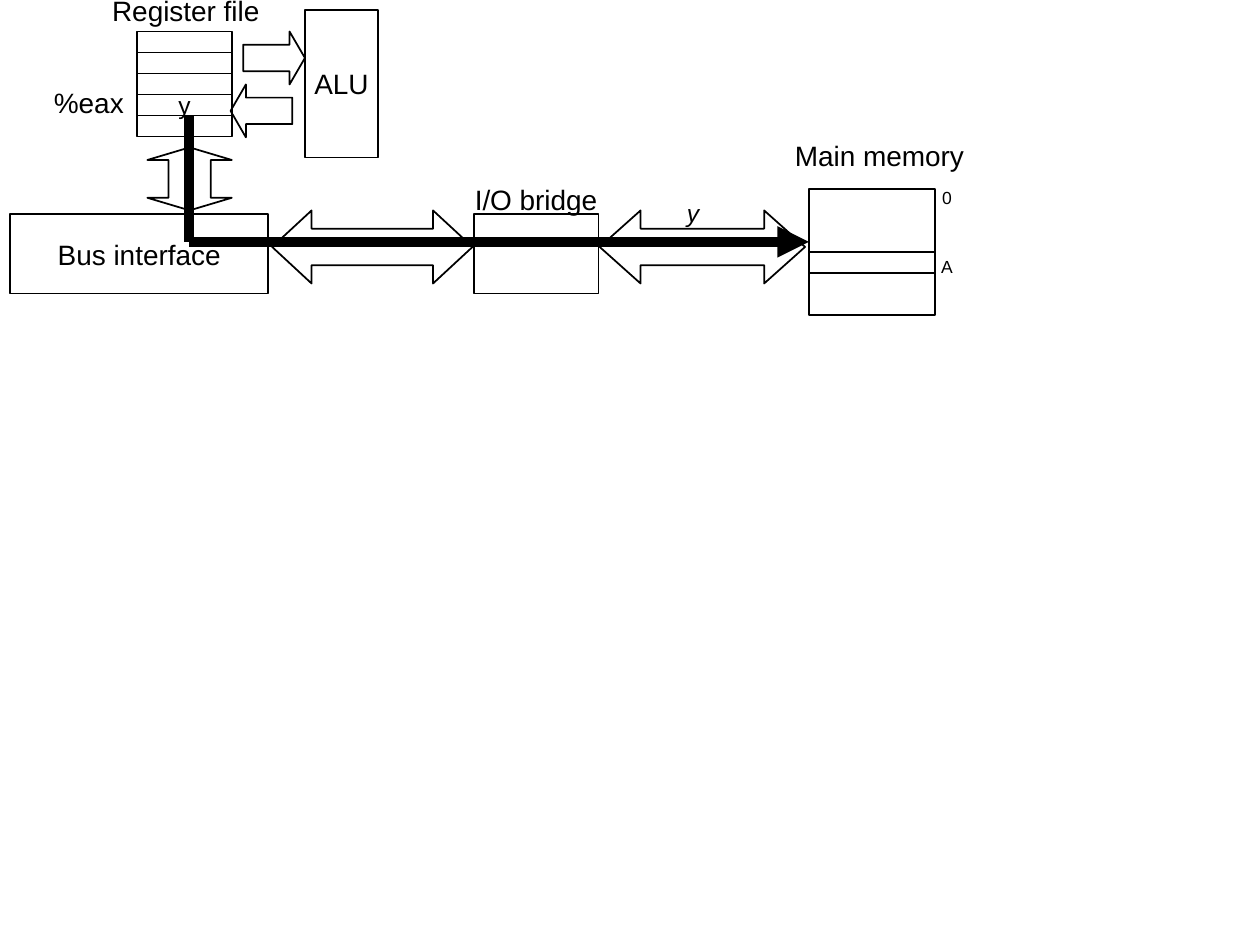
from dataclasses import dataclass

from lxml import etree
from pptx import Presentation
from pptx.dml.color import RGBColor
from pptx.enum.shapes import MSO_CONNECTOR, MSO_SHAPE
from pptx.enum.text import MSO_ANCHOR, MSO_AUTO_SIZE, PP_ALIGN
from pptx.oxml.ns import qn
from pptx.shapes.autoshape import Shape
from pptx.slide import Slide
from pptx.text.text import TextFrame
from pptx.util import Inches, Pt

BLACK = RGBColor(0, 0, 0)
WHITE = RGBColor(255, 255, 255)
FONT = "Arial"
RECTANGLE = MSO_SHAPE.RECTANGLE
RIGHT_ARROW = MSO_SHAPE.RIGHT_ARROW
LEFT_ARROW = MSO_SHAPE.LEFT_ARROW
BUS_ARROW = MSO_SHAPE.LEFT_RIGHT_ARROW
UP_DOWN_ARROW = MSO_SHAPE.UP_DOWN_ARROW
STRAIGHT = MSO_CONNECTOR.STRAIGHT

REGISTER_COUNT = 5
REGISTER_PITCH = 1 / 6
EAX_INDEX = 3


@dataclass(frozen=True)
class Block:
    left: float
    top: float
    width: float
    height: float
    kind: MSO_SHAPE = RECTANGLE
    adjustments: tuple[float, ...] = ()
    text: str = ""
    size: int = 16
    fill: RGBColor | None = None


@dataclass(frozen=True)
class Label:
    text: str
    left: float
    top: float
    width: float
    height: float = 0.37
    size: int = 16
    italic: bool = False


@dataclass(frozen=True)
class DataPath:
    start: tuple[float, float]
    end: tuple[float, float]
    arrowhead: bool = False


REGISTERS = [
    Block(1.09, 0.25 + index * REGISTER_PITCH, 0.75, REGISTER_PITCH,
          text="y" if index == EAX_INDEX else "", size=14)
    for index in range(REGISTER_COUNT)
]

BLOCKS = [
    Block(6.42, 1.5, 1, 1),
    Block(4.76, 1.67, 1.63, 0.58, BUS_ARROW, (0.5, 0.56)),
    Block(3.76, 1.7, 0.99, 0.63),
    Block(2.16, 1.67, 1.59, 0.58, BUS_ARROW, (0.5, 0.54)),
    *REGISTERS,
    Block(1.93, 0.25, 0.49, 0.42, RIGHT_ARROW, (0.5, 0.29)),
    Block(1.83, 0.67, 0.49, 0.42, LEFT_ARROW, (0.5, 0.29)),
    Block(2.42, 0.08, 0.58, 1.17, text="ALU"),
    Block(1.17, 1.17, 0.67, 0.5, UP_DOWN_ARROW, (0.5, 0.2)),
    Block(0.08, 1.7, 2.05, 0.63, text="Bus interface", fill=WHITE),
]
MEMORY_CELL = Block(6.42, 2, 1, 0.17)

DATA_PATHS = [
    DataPath((1.5, 0.92), (1.5, 1.92)),
    DataPath((1.5, 1.92), (6.42, 1.92), arrowhead=True),
]

LABELS = [
    Label("Register file", 0.79, -0.1, 1.37),
    Label("y", 5.35, 1.52, 0.3, 0.34, 14, italic=True),
    Label("Main memory", 6.21, 1.05, 1.54),
    Label("0", 7.38, 1.43, 0.27, 0.27, 10),
    Label("A", 7.37, 1.98, 0.29, 0.27, 10),
    Label("%eax", 0.3, 0.63, 0.81),
    Label("I/O bridge", 3.67, 1.4, 1.17),
]


def write_text(frame: TextFrame, text: str, size: int, italic: bool = False) -> None:
    frame.word_wrap = False
    frame.vertical_anchor = MSO_ANCHOR.MIDDLE
    paragraph = frame.paragraphs[0]
    paragraph.alignment = PP_ALIGN.CENTER
    run = paragraph.add_run()
    run.text = text
    run.font.name = FONT
    run.font.size = Pt(size)
    run.font.italic = italic
    run.font.color.rgb = BLACK


def set_adjustments(shape: Shape, values: tuple[float, ...]) -> None:
    """Write the guides by name, as the library misnames those of the up-down arrow."""
    geometry = shape._element.spPr.find(qn("a:prstGeom"))
    guides = geometry.find(qn("a:avLst"))
    for guide in list(guides):
        guides.remove(guide)
    for number, value in enumerate(values, start=1):
        etree.SubElement(guides, qn("a:gd"), name=f"adj{number}",
                         fmla=f"val {round(value * 100000)}")


def draw_block(slide: Slide, block: Block) -> None:
    shape = slide.shapes.add_shape(
        block.kind, Inches(block.left), Inches(block.top),
        Inches(block.width), Inches(block.height))
    shape.shadow.inherit = False
    if block.adjustments:
        set_adjustments(shape, block.adjustments)
    if block.fill is None:
        shape.fill.background()
    else:
        shape.fill.solid()
        shape.fill.fore_color.rgb = block.fill
    shape.line.color.rgb = BLACK
    shape.line.width = Pt(1)
    if block.text:
        write_text(shape.text_frame, block.text, block.size)


def draw_label(slide: Slide, label: Label) -> None:
    box = slide.shapes.add_textbox(
        Inches(label.left), Inches(label.top),
        Inches(label.width), Inches(label.height))
    write_text(box.text_frame, label.text, label.size, label.italic)
    box.text_frame.auto_size = MSO_AUTO_SIZE.SHAPE_TO_FIT_TEXT


def draw_data_path(slide: Slide, data_path: DataPath) -> None:
    points = [Inches(value) for value in (*data_path.start, *data_path.end)]
    connector = slide.shapes.add_connector(STRAIGHT, *points)
    connector.line.color.rgb = BLACK
    connector.line.width = Pt(6)
    if data_path.arrowhead:
        line = connector.line._get_or_add_ln()
        etree.SubElement(line, qn("a:tailEnd"), type="triangle")
    etree.SubElement(connector._element.spPr, qn("a:effectLst"))


def main() -> None:
    presentation = Presentation()
    presentation.slide_width = Inches(10)
    presentation.slide_height = Inches(7.5)
    slide = presentation.slides.add_slide(presentation.slide_layouts[6])
    for block in BLOCKS:
        draw_block(slide, block)
    for data_path in DATA_PATHS:
        draw_data_path(slide, data_path)
    draw_block(slide, MEMORY_CELL)
    for label in LABELS:
        draw_label(slide, label)
    presentation.save("out.pptx")


if __name__ == "__main__":
    main()
